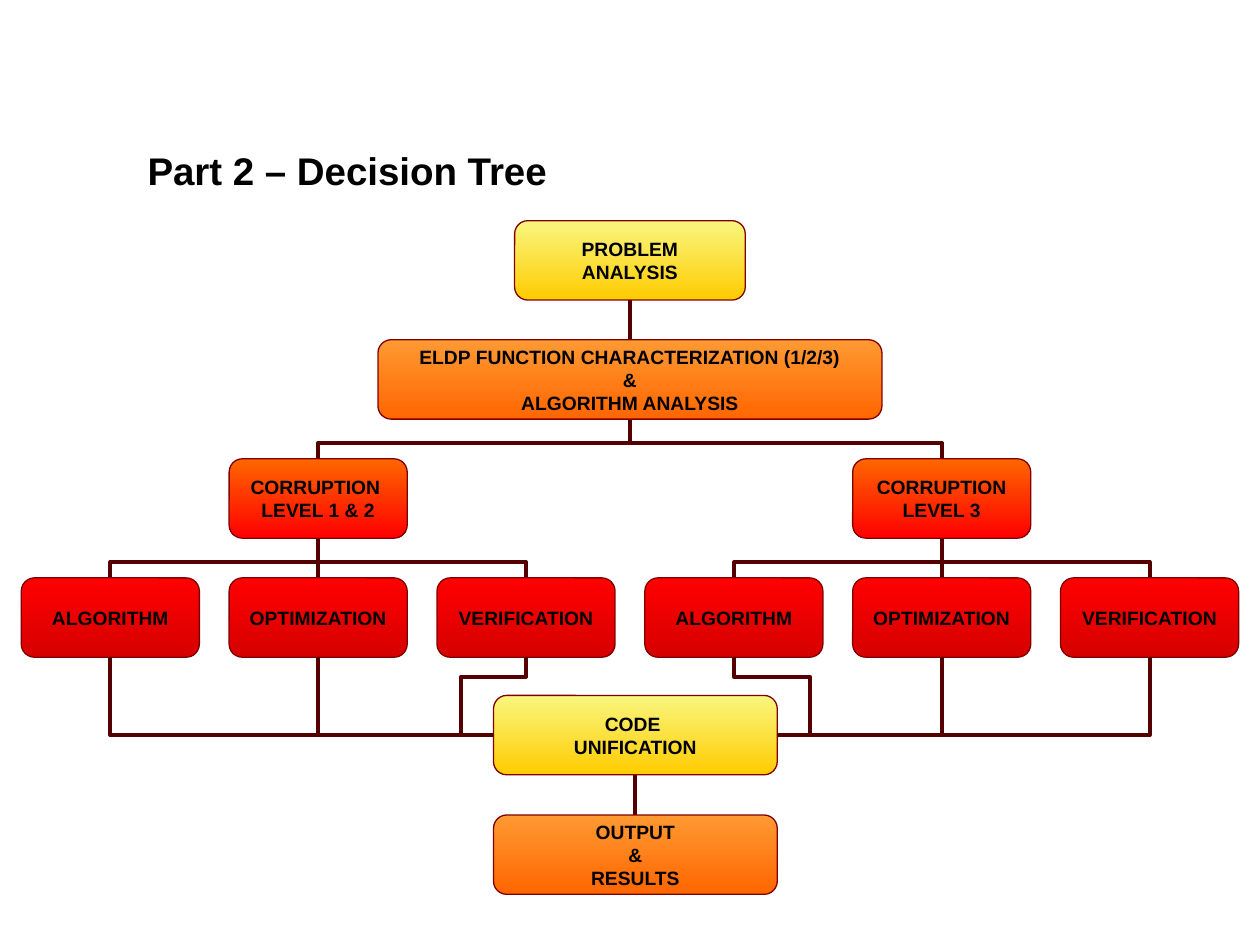
from lxml import etree
from pptx import Presentation
from pptx.dml.color import RGBColor
from pptx.enum import shapes, text
from pptx.oxml import ns
from pptx.util import Cm, Pt

COLORS = {"text": "000000", "link": "540000", "border": "800000"}
GRADIENTS = {
    "yellow": ("F9F67F", "FFCC00"),
    "orange": ("FF9933", "FF6600"),
    "ember": ("FF6600", "FF0000"),
    "red": ("FF0000", "D60000"),
}
FONT = "Arial"
MIDDLE = 12.7
MERGE_X = 12.81
BOX_H = 1.6
BRANCH_W = 3.59
MERGE_W = 5.72
TOPS = [4.45 + 2.4 * level for level in range(4)]
CODE_TOP, OUTPUT_TOP = 14.02, 16.43
COLUMNS = [MIDDLE + 4.19 * (i - 2.5) for i in range(6)]
STEPS = ("ALGORITHM", "OPTIMIZATION", "VERIFICATION")


def rgb(name):
    return RGBColor.from_string(COLORS[name])


def add_run(paragraph, wording, size):
    run = paragraph.add_run()
    run.text = wording
    run.font.name = FONT
    run.font.size = Pt(size)
    run.font.bold = True
    run.font.color.rgb = rgb("text")


def add_title(slide, wording):
    title = slide.shapes.title
    title.left, title.top, title.width, title.height = Cm(2.72), Cm(2.84), Cm(19.28), Cm(1.19)
    frame = title.text_frame
    frame.auto_size = text.MSO_AUTO_SIZE.NONE
    frame.vertical_anchor = text.MSO_ANCHOR.BOTTOM
    frame.paragraphs[0].alignment = text.PP_ALIGN.LEFT
    add_run(frame.paragraphs[0], wording, 22)


def add_node(slide, center, top, width, gradient, *lines):
    node = slide.shapes.add_shape(
        shapes.MSO_SHAPE.ROUNDED_RECTANGLE,
        Cm(center - width / 2), Cm(top), Cm(width), Cm(BOX_H))
    node.shadow.inherit = False
    node.fill.gradient()
    node.fill.gradient_angle = 270
    for position, (stop, color) in enumerate(zip(node.fill.gradient_stops, GRADIENTS[gradient])):
        stop.position = position
        stop.color.rgb = RGBColor.from_string(color)
    node.line.color.rgb = rgb("border")
    node.line.width = Pt(0.75)
    frame = node.text_frame
    frame.word_wrap = False
    frame.margin_left = frame.margin_right = frame.margin_top = frame.margin_bottom = 0
    frame.vertical_anchor = text.MSO_ANCHOR.MIDDLE
    for i, wording in enumerate(lines):
        paragraph = frame.add_paragraph() if i else frame.paragraphs[0]
        paragraph.alignment = text.PP_ALIGN.CENTER
        add_run(paragraph, wording, 11)


def add_link(slide, start, end, preset="line", adjustments=()):
    kind = shapes.MSO_CONNECTOR.STRAIGHT if preset == "line" else shapes.MSO_CONNECTOR.ELBOW
    link = slide.shapes.add_connector(kind, *(Cm(v) for v in (*start, *end)))
    link.line.color.rgb = rgb("link")
    link.line.width = Pt(2.25)
    properties = link._element.spPr
    etree.SubElement(properties, ns.qn("a:effectLst"))
    geometry = properties.find(ns.qn("a:prstGeom"))
    geometry.set("prst", preset)
    guides = geometry.find(ns.qn("a:avLst"))
    for i, value in enumerate(adjustments, 1):
        etree.SubElement(guides, ns.qn("a:gd"), name=f"adj{i}", fmla=f"val {round(value * 100000)}")
    return link


def add_branch(slide, parent, child):
    (x1, y1), (x2, y2) = parent, child
    if abs(x1 - x2) < 0.01:
        add_link(slide, parent, child)
        return
    mid_x, mid_y = (x1 + x2) / 2, (y1 + y2) / 2
    half_w, half_h = (y2 - y1) / 2, abs(x2 - x1) / 2
    to_right = x2 > x1
    if to_right:
        half_w = -half_w
    link = add_link(slide, (mid_x - half_w, mid_y - half_h),
                    (mid_x + half_w, mid_y + half_h), "bentConnector3", (0.6,))
    link._element.spPr.find(ns.qn("a:xfrm")).set("rot", "16200000" if to_right else "5400000")


def add_tree_links(slide):
    analysis_bottom = (MIDDLE, TOPS[1] + BOX_H)
    add_link(slide, (MIDDLE, TOPS[0] + BOX_H), (MIDDLE, TOPS[1]))
    for branch in (1, 4):
        add_branch(slide, analysis_bottom, (COLUMNS[branch], TOPS[2]))
        for step in (branch - 1, branch, branch + 1):
            add_branch(slide, (COLUMNS[branch], TOPS[2] + BOX_H), (COLUMNS[step], TOPS[3]))
    add_link(slide, (MERGE_X, CODE_TOP + BOX_H), (MERGE_X, OUTPUT_TOP))


def add_merge_links(slide):
    for i, column in enumerate(COLUMNS):
        side = -1 if i < 3 else 1
        start = (MERGE_X + side * MERGE_W / 2, CODE_TOP + BOX_H / 2)
        end = (column, TOPS[3] + BOX_H)
        if i in (2, 3):
            detour = side * 0.66 / (column - start[0])
            add_link(slide, start, end, "bentConnector4", (detour, 0.75))
        else:
            add_link(slide, start, end, "bentConnector2")


def main():
    deck = Presentation()
    deck.slide_width, deck.slide_height = Cm(25.4), Cm(19.05)
    slide = deck.slides.add_slide(deck.slide_layouts[5])
    add_title(slide, "Part 2 – Decision Tree")
    add_tree_links(slide)
    add_node(slide, MIDDLE, TOPS[0], 4.65, "yellow", "PROBLEM", "ANALYSIS")
    add_node(slide, MIDDLE, TOPS[1], 10.16, "orange",
             "ELDP FUNCTION CHARACTERIZATION (1/2/3)", "&", "ALGORITHM ANALYSIS")
    add_node(slide, COLUMNS[1], TOPS[2], BRANCH_W, "ember", "CORRUPTION ", "LEVEL 1 & 2")
    add_node(slide, COLUMNS[4], TOPS[2], BRANCH_W, "ember", "CORRUPTION", "LEVEL 3")
    for column, step in zip(COLUMNS, STEPS * 2):
        add_node(slide, column, TOPS[3], BRANCH_W, "red", step)
    add_node(slide, MERGE_X, CODE_TOP, MERGE_W, "yellow", "CODE ", "UNIFICATION")
    add_node(slide, MERGE_X, OUTPUT_TOP, MERGE_W, "orange", "OUTPUT", "&", "RESULTS")
    add_merge_links(slide)
    deck.save("out.pptx")


if __name__ == "__main__":
    main()
